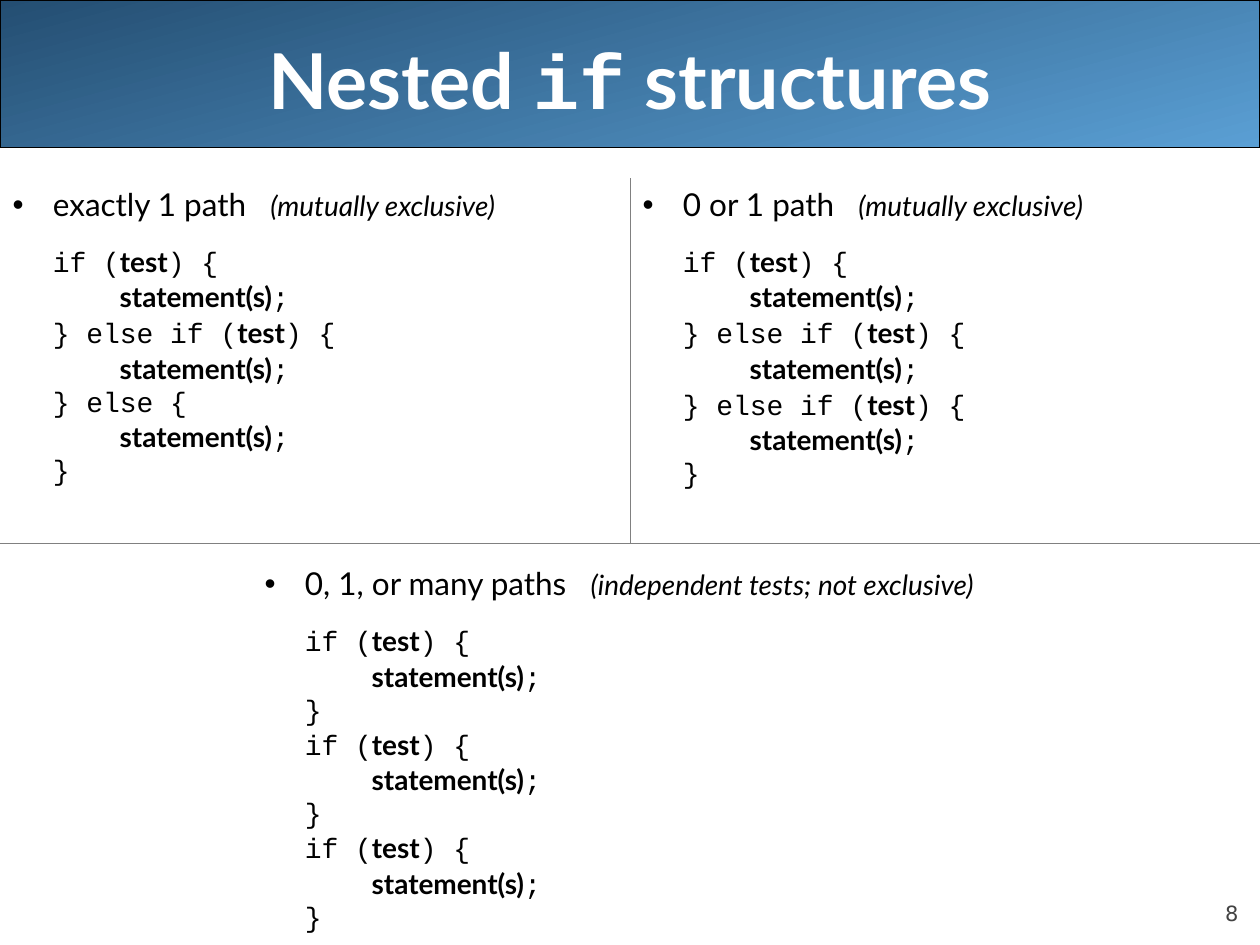
from lxml.etree import SubElement
from pptx import Presentation
from pptx.dml.color import RGBColor
from pptx.enum.shapes import MSO_SHAPE
from pptx.enum.text import MSO_ANCHOR, PP_ALIGN
from pptx.oxml.ns import qn
from pptx.util import Inches, Pt

BODY_FONT = "Lato"
CODE_FONT = "Courier New"
HANGING = 0.32
CODE_STEP = 0.53
STATEMENT = "*statement(s)*;"
IF = ["if (*test*) {", STATEMENT]
ELSE_IF = ["} else if (*test*) {", STATEMENT]
ELSE = ["} else {", STATEMENT]
END = ["}"]


def colour(value):
    """Turn a hex string into a colour."""
    return RGBColor.from_string(value)


def add_span(para, text, font=BODY_FONT, size=16, hue="000000", bold=False, italic=False, spacing=0):
    """Add formatted text to a paragraph."""
    span = para.add_run()
    span.text = text
    span.font.name = font
    span.font.size = Pt(size)
    span.font.color.rgb = colour(hue)
    span.font.bold = bold
    span.font.italic = italic
    if spacing:
        span.font._element.set("spc", str(int(spacing * 100)))


def set_indent(para, left, first=0.0):
    """Set the left margin and first-line indent of a paragraph."""
    properties = para._p.get_or_add_pPr()
    properties.set("marL", str(Inches(left)))
    properties.set("indent", str(Inches(first)))
    return properties


def add_bullet(properties):
    """Give a paragraph a black round bullet."""
    bullet_colour = SubElement(properties, qn("a:buClr"))
    SubElement(bullet_colour, qn("a:srgbClr"), val="000000")
    SubElement(properties, qn("a:buFont"), typeface="Arial")
    SubElement(properties, qn("a:buChar"), char="•")


def add_heading(para, label, remark, left):
    """Write a bulleted heading with an italic remark."""
    add_bullet(set_indent(para, left, -HANGING))
    add_span(para, label, size=18)
    add_span(para, " ", size=18, spacing=9.2)
    add_span(para, remark, italic=True)


def add_code_line(para, line, left, before):
    """Write a line of code, with the parts between asterisks in bold."""
    para.line_spacing = 0.8
    para.space_before = Pt(before)
    set_indent(para, left + (CODE_STEP if line == STATEMENT else 0))
    for index, part in enumerate(line.split("*")):
        if part:
            slot = index % 2 == 1
            add_span(para, part, font=BODY_FONT if slot else CODE_FONT, bold=slot)


def fill_cell(cell, label, remark, code, left=HANGING, top=0.05):
    """Write a heading and its code into a table cell."""
    cell.margin_top = Inches(top)
    frame = cell.text_frame
    add_heading(frame.paragraphs[0], label, remark, left)
    for index, line in enumerate(code):
        add_code_line(frame.add_paragraph(), line, left, 4 if index else 15)


def set_borders(cell, sides):
    """Draw thin grey borders on the given sides and clear the fill."""
    properties = cell._tc.get_or_add_tcPr()
    for side in sides:
        line = SubElement(properties, qn(f"a:ln{side}"), w=str(Pt(0.23)))
        SubElement(SubElement(line, qn("a:solidFill")), qn("a:srgbClr"), val="808080")
    cell.fill.background()


def add_title(page):
    """Place the title on its gradient banner."""
    title = page.shapes.title
    title.left, title.top, title.width, title.height = map(Inches, (0.5, 0, 9, 1.25))
    title.text_frame.vertical_anchor = MSO_ANCHOR.MIDDLE
    para = title.text_frame.paragraphs[0]
    para.alignment = PP_ALIGN.CENTER
    for text, font in (("Nested ", BODY_FONT), ("if", CODE_FONT), (" structures", BODY_FONT)):
        add_span(para, text, font=font, size=44, hue="FFFFFF", bold=True)

    banner = page.shapes.add_shape(MSO_SHAPE.ROUNDED_RECTANGLE, 0, 0, Inches(10), Inches(1.17))
    banner.adjustments[0] = 0
    banner.shadow.inherit = False
    banner.fill.gradient()
    banner.fill.gradient_angle = 360 - 75
    for stop, hue in zip(banner.fill.gradient_stops, ("244E72", "5A9FD4")):
        stop.color.rgb = colour(hue)
    banner.line.color.rgb = colour("000000")
    banner.line.width = Pt(0.75)
    title.element.addprevious(banner.element)


def add_page_number(page, number):
    """Put the page number at the bottom right."""
    box = page.shapes.add_textbox(Inches(9), Inches(6.95), Inches(0.83), Inches(0.4))
    frame = box.text_frame
    frame.word_wrap = True
    frame.vertical_anchor = MSO_ANCHOR.BOTTOM
    frame.margin_left = frame.margin_right = frame.margin_top = frame.margin_bottom = 0
    para = frame.paragraphs[0]
    para.alignment = PP_ALIGN.RIGHT
    add_span(para, number, font="DejaVu Sans", size=12, hue="424242")


def add_structures(page):
    """Add the table that compares the three structures."""
    heights = (2.89, 3.28)
    table = page.shapes.add_table(2, 2, 0, Inches(1.42), Inches(10), Inches(sum(heights))).table
    table.first_row = table.horz_banding = False
    for row, height in zip(table.rows, heights):
        row.height = Inches(height)
    for row, column, sides in ((0, 0, "RB"), (0, 1, "LB"), (1, 0, "T"), (1, 1, "T")):
        set_borders(table.cell(row, column), sides)
    table.cell(1, 0).merge(table.cell(1, 1))
    exclusive = "(mutually exclusive)"
    fill_cell(table.cell(0, 0), "exactly 1 path", exclusive, IF + ELSE_IF + ELSE + END)
    fill_cell(table.cell(0, 1), "0 or 1 path", exclusive, IF + ELSE_IF * 2 + END)
    fill_cell(table.cell(1, 0), "0, 1, or many paths", "(independent tests; not exclusive)",
              (IF + END) * 3, left=2 + HANGING, top=0.17)


def main():
    """Build the slide and save it."""
    deck = Presentation()
    deck.slide_width, deck.slide_height = Inches(10), Inches(7.5)
    page = deck.slides.add_slide(deck.slide_layouts[5])
    add_title(page)
    add_page_number(page, "8")
    add_structures(page)
    deck.save("out.pptx")


if __name__ == "__main__":
    main()
